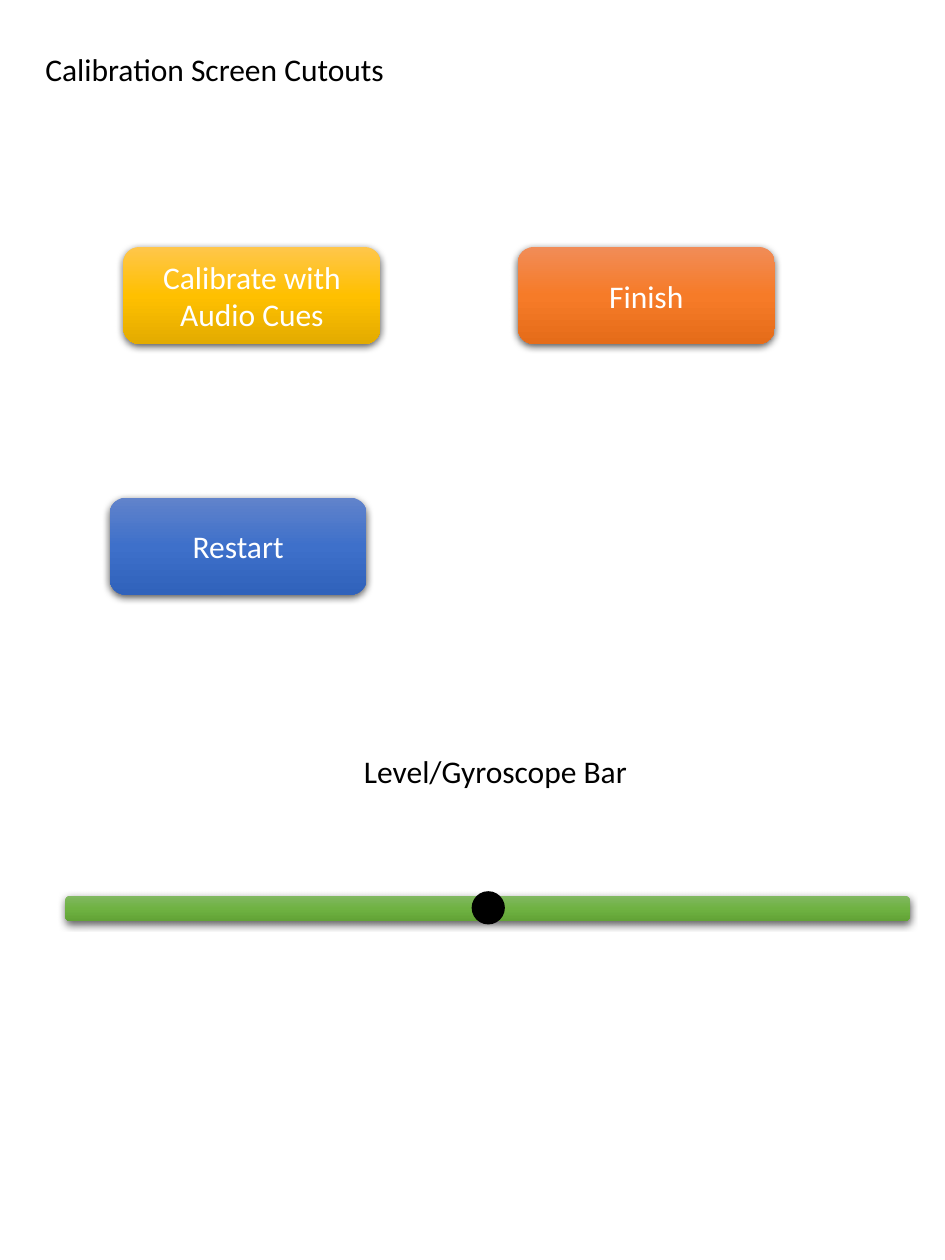
import pptx
import pptx.util
import pptx.dml.color
import pptx.enum.shapes
import pptx.enum.text
import pptx.oxml.ns
from dataclasses import dataclass
from lxml import etree

Inches = pptx.util.Inches
qn = pptx.oxml.ns.qn
SHAPE = pptx.enum.shapes.MSO_SHAPE
ALIGN = pptx.enum.text.PP_ALIGN
ANCHOR = pptx.enum.text.MSO_ANCHOR


@dataclass(frozen=True)
class Theme:
    font: str = "Calibri"
    size: int = 18
    dark: str = "000000"
    light: str = "FFFFFF"
    gold: tuple = ("FFC64B", "FFC000", "E3AB00")
    orange: tuple = ("F18C57", "F67B28", "E56C19")
    blue: tuple = ("6183CB", "3E70CA", "3062BB")
    green: tuple = ("81B861", "6FB242", "62A336")


theme = Theme()


def write_text(shape, text, color, align, anchor):
    frame = shape.text_frame
    frame.text = text
    frame.word_wrap = True
    frame.vertical_anchor = anchor
    para = frame.paragraphs[0]
    para.alignment = align
    para.line_spacing = 1.0
    font = para.runs[0].font
    font.name = theme.font
    font.size = pptx.util.Pt(theme.size)
    font.color.rgb = pptx.dml.color.RGBColor.from_string(color)


def add_glossy_bar(shapes, left, top, width, height, colors):
    """Rounded rectangle with a vertical three-stop gradient and a soft shadow."""
    bar = shapes.add_shape(SHAPE.ROUNDED_RECTANGLE, Inches(left), Inches(top),
                           Inches(width), Inches(height))
    bar.fill.gradient()
    bar.line.fill.background()
    bar.shadow.inherit = False
    properties = bar.element.spPr

    gradient = properties.find(qn("a:gradFill"))
    gradient.find(qn("a:lin")).set("ang", "5400000")
    stops = gradient.find(qn("a:gsLst"))
    for stop in list(stops):
        stops.remove(stop)
    for position, color in zip((0, 50000, 100000), colors):
        stop = etree.SubElement(stops, qn("a:gs"), pos=str(position))
        etree.SubElement(stop, qn("a:srgbClr"), val=color)

    shadow = etree.SubElement(properties.find(qn("a:effectLst")), qn("a:outerShdw"),
                              blurRad=str(pptx.util.Pt(4.5)), dist=str(pptx.util.Pt(1.5)),
                              dir="5400000", algn="ctr", rotWithShape="0")
    shadow_color = etree.SubElement(shadow, qn("a:srgbClr"), val=theme.dark)
    etree.SubElement(shadow_color, qn("a:alpha"), val="63000")
    return bar


deck = pptx.Presentation()
deck.slide_width = Inches(7.5)
deck.slide_height = Inches(10)
page = deck.slides.add_slide(deck.slide_layouts[5])

# Title
title = page.shapes.title
title.left, title.top = Inches(0.26), Inches(0.35)
title.width, title.height = Inches(2.92), Inches(0.4)
write_text(title, "Calibration Screen Cutouts", theme.dark, ALIGN.LEFT, ANCHOR.TOP)

# Buttons
for label, left, top, colors in (
    ("Calibrate with Audio Cues", 0.98, 1.96, theme.gold),
    ("Finish", 4.11, 1.96, theme.orange),
    ("Restart", 0.87, 3.95, theme.blue),
):
    button = add_glossy_bar(page.shapes, left, top, 2.04, 0.77, colors)
    write_text(button, label, theme.light, ALIGN.CENTER, ANCHOR.MIDDLE)

# Level bar with its bubble
level = page.shapes.add_group_shape()
add_glossy_bar(level.shapes, 0.52, 7.11, 6.7, 0.2, theme.green)
bubble = level.shapes.add_shape(SHAPE.OVAL, Inches(3.75), Inches(7.08),
                                Inches(0.25), Inches(0.25))
bubble.shadow.inherit = False
black = pptx.dml.color.RGBColor.from_string(theme.dark)
bubble.fill.solid()
bubble.fill.fore_color.rgb = black
bubble.line.color.rgb = black
bubble.line.width = pptx.util.Pt(1)

# Level bar caption
caption = page.shapes.add_textbox(Inches(2.79), Inches(5.92), Inches(4.44), Inches(0.4))
write_text(caption, "Level/Gyroscope Bar", theme.dark, ALIGN.LEFT, ANCHOR.TOP)

deck.save("out.pptx")
